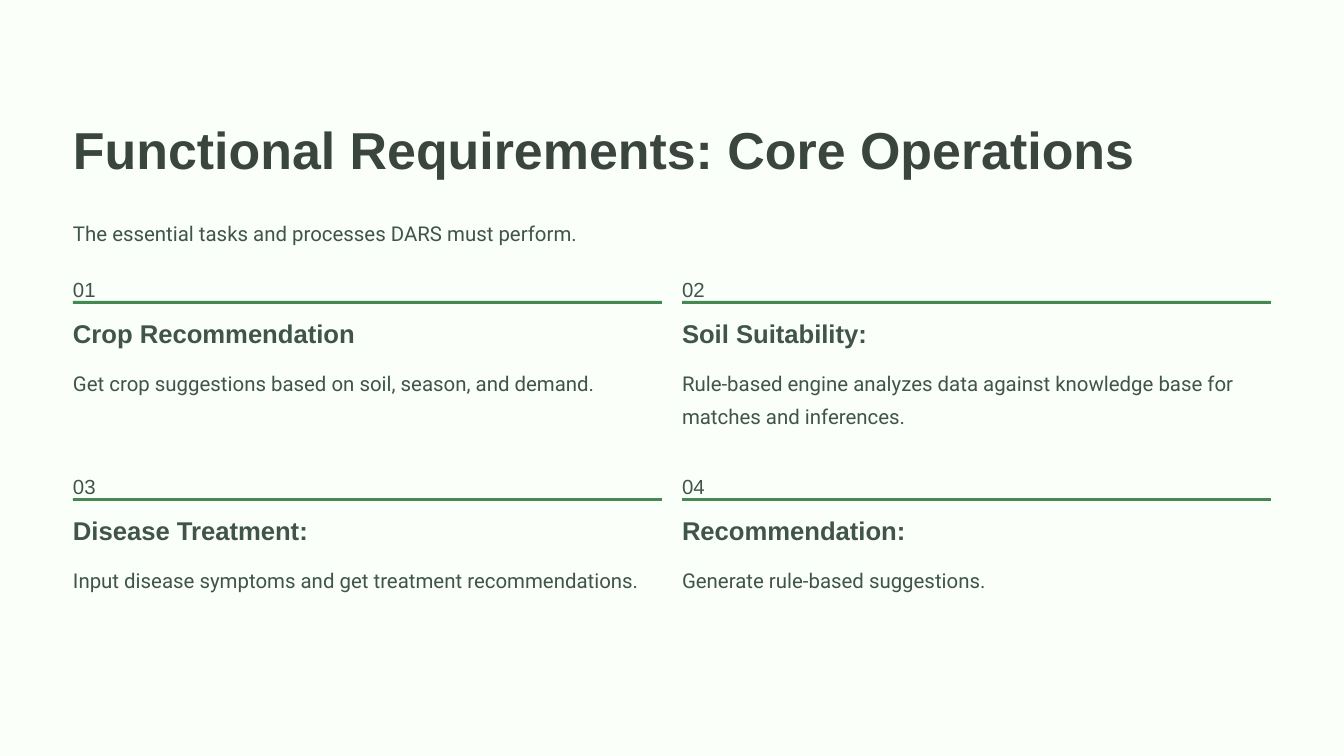
from dataclasses import dataclass

from pptx import Presentation
from pptx.dml.color import RGBColor
from pptx.enum.shapes import MSO_SHAPE
from pptx.enum.text import MSO_ANCHOR, MSO_AUTO_SIZE, PP_ALIGN
from pptx.util import Emu, Pt

TITLE = "Functional Requirements: Core Operations"
SUBTITLE = "The essential tasks and processes DARS must perform."
REQUIREMENTS = [
    ("01", "Crop Recommendation", "Get crop suggestions based on soil, season, and demand."),
    ("02", "Soil Suitability:",
     "Rule-based engine analyzes data against knowledge base for matches and inferences."),
    ("03", "Disease Treatment:", "Input disease symptoms and get treatment recommendations."),
    ("04", "Recommendation:", "Generate rule-based suggestions."),
]


@dataclass(frozen=True)
class TextStyle:
    font: str
    size: float
    line: float
    color: RGBColor
    bold: bool = False


@dataclass(frozen=True)
class Theme:
    background = RGBColor.from_string("FAFFFA")
    rule = RGBColor.from_string("438951")
    ink = RGBColor.from_string("405449")
    title = TextStyle("Arial", 44.5, 55.5, RGBColor.from_string("3B4540"), True)
    number = TextStyle("Arial", 17.5, 28.5, ink)
    heading = TextStyle("Arial", 22, 27.5, ink, True)
    body = TextStyle("Roboto", 17.5, 28.5, ink)


THEME = Theme()
PX = 914400 // 84
LEFT, CONTENT_WIDTH = 73, 1198
COLUMNS, COLUMN_GAP = 2, 20
COLUMN_WIDTH = (CONTENT_WIDTH - COLUMN_GAP) // COLUMNS
GRID_TOP, ROW_PITCH = 268, 197


def px(*lengths):
    return [Emu(length * PX) for length in lengths]


def write(shape, text, style):
    frame = shape.text_frame
    frame.margin_left = frame.margin_top = frame.margin_right = frame.margin_bottom = 0
    frame.word_wrap = True
    frame.auto_size = MSO_AUTO_SIZE.NONE
    frame.vertical_anchor = MSO_ANCHOR.TOP
    paragraph = frame.paragraphs[0]
    paragraph.alignment = PP_ALIGN.LEFT
    paragraph.line_spacing = Pt(style.line)
    run = paragraph.add_run()
    run.text = text
    run.font.name = style.font
    run.font.size = Pt(style.size)
    run.font.bold = style.bold
    run.font.color.rgb = style.color


def add_text(slide, box, text, style):
    write(slide.shapes.add_textbox(*px(*box)), text, style)


def add_requirement(slide, left, top, requirement):
    number, heading, body = requirement
    add_text(slide, (left, top, 40, 26), number, THEME.number)
    rule = slide.shapes.add_shape(MSO_SHAPE.RECTANGLE, *px(left, top + 33, COLUMN_WIDTH, 3))
    rule.shadow.inherit = False
    rule.fill.solid()
    rule.fill.fore_color.rgb = THEME.rule
    rule.line.fill.background()
    add_text(slide, (left, top + 49, COLUMN_WIDTH, 33), heading, THEME.heading)
    add_text(slide, (left, top + 94, COLUMN_WIDTH, 66), body, THEME.body)


def main():
    presentation = Presentation()
    presentation.slide_width, presentation.slide_height = px(1344, 756)
    slide = presentation.slides.add_slide(presentation.slide_layouts[5])
    slide.background.fill.solid()
    slide.background.fill.fore_color.rgb = THEME.background

    title = slide.shapes.title
    title.left, title.top, title.width, title.height = px(LEFT, 115, CONTENT_WIDTH, 66)
    write(title, TITLE, THEME.title)
    add_text(slide, (LEFT, 212, CONTENT_WIDTH, 33), SUBTITLE, THEME.body)

    for index, requirement in enumerate(REQUIREMENTS):
        row, column = divmod(index, COLUMNS)
        left = LEFT + column * (COLUMN_WIDTH + COLUMN_GAP)
        add_requirement(slide, left, GRID_TOP + row * ROW_PITCH, requirement)

    presentation.save("out.pptx")


if __name__ == "__main__":
    main()
